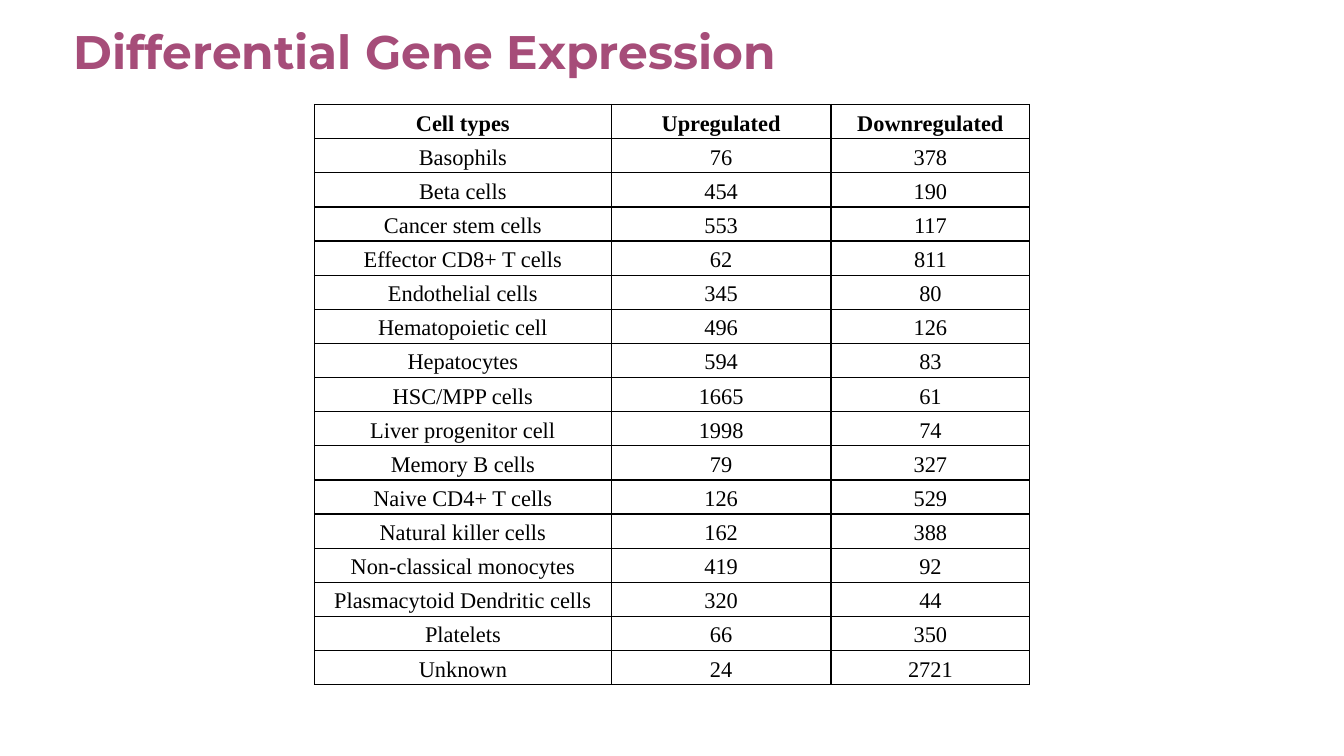
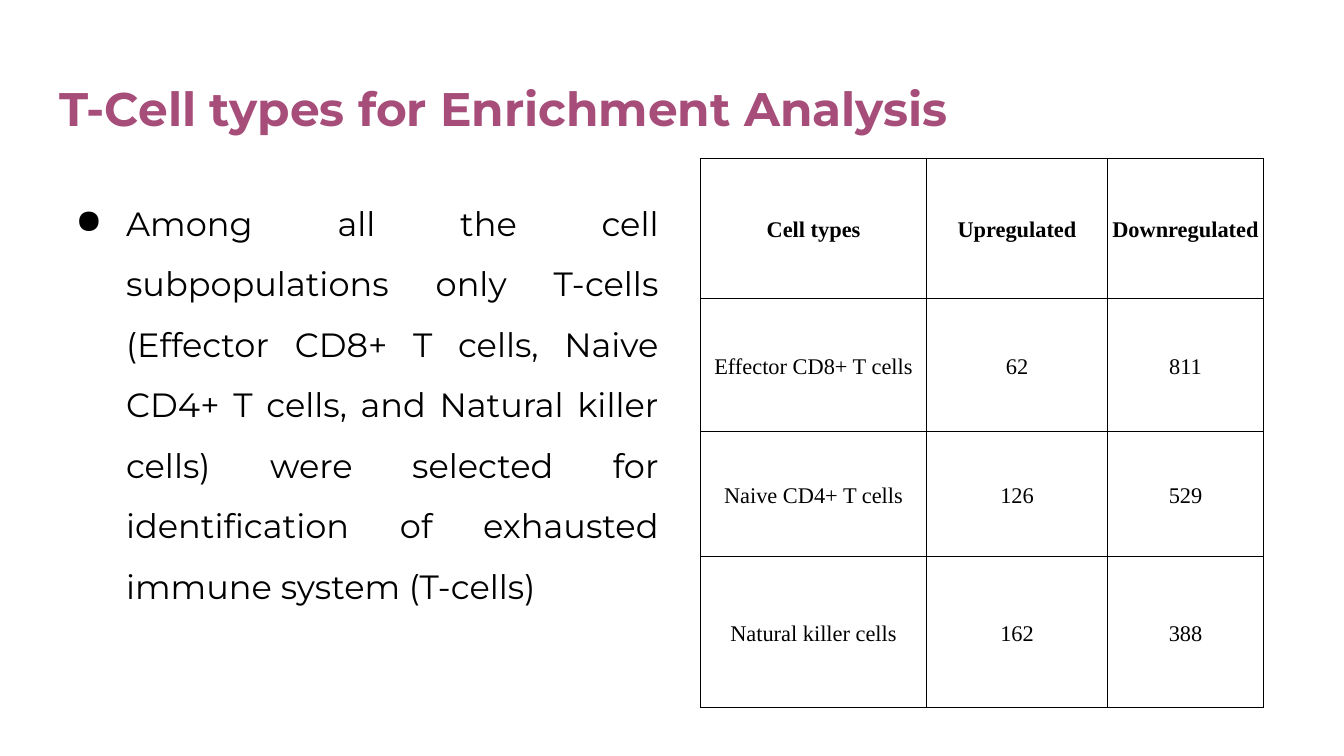
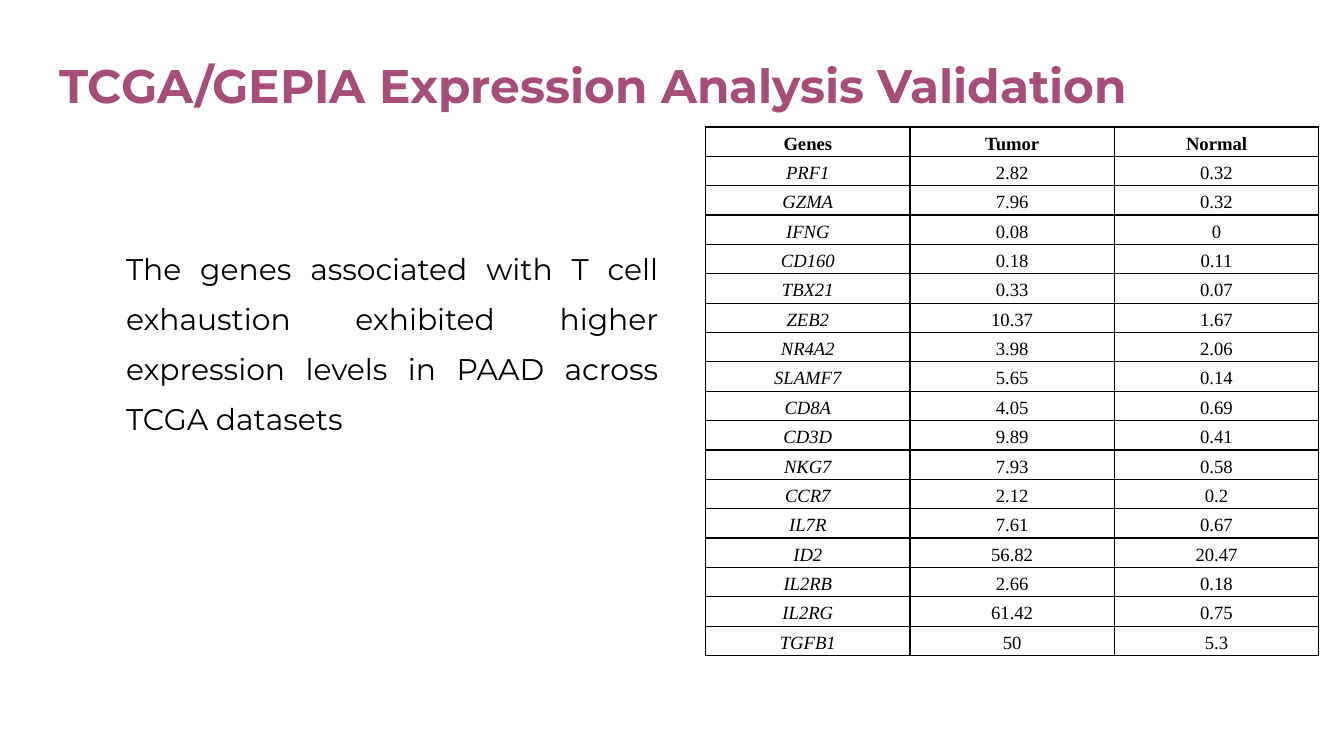
from lxml.etree import SubElement
from pptx import Presentation
from pptx.dml.color import RGBColor
from pptx.enum.text import MSO_ANCHOR, MSO_AUTO_SIZE, PP_ALIGN
from pptx.oxml.ns import qn
from pptx.util import Pt

COLOURS = {"title": "A64D79", "text": "000000", "border": "000000"}
HEADING_FONT = "Montserrat"
TABLE_FONT = "Times New Roman"
INSET = 7.2

EXPRESSION_HEADER = ("Cell types", "Upregulated", "Downregulated")
EXPRESSION_ROWS = [
    ("Basophils", "76", "378"),
    ("Beta cells", "454", "190"),
    ("Cancer stem cells", "553", "117"),
    ("Effector CD8+ T cells", "62", "811"),
    ("Endothelial cells", "345", "80"),
    ("Hematopoietic cell", "496", "126"),
    ("Hepatocytes", "594", "83"),
    ("HSC/MPP cells", "1665", "61"),
    ("Liver progenitor cell", "1998", "74"),
    ("Memory B cells", "79", "327"),
    ("Naive CD4+ T cells", "126", "529"),
    ("Natural killer cells", "162", "388"),
    ("Non-classical monocytes", "419", "92"),
    ("Plasmacytoid Dendritic cells", "320", "44"),
    ("Platelets", "66", "350"),
    ("Unknown", "24", "2721"),
]
SELECTED_CELLS = ("Effector CD8+ T cells", "Naive CD4+ T cells", "Natural killer cells")

GENE_HEADER = ("Genes", "Tumor", "Normal")
GENE_ROWS = [
    ("PRF1", "2.82", "0.32"),
    ("GZMA", "7.96", "0.32"),
    ("IFNG", "0.08", "0"),
    ("CD160", "0.18", "0.11"),
    ("TBX21", "0.33", "0.07"),
    ("ZEB2", "10.37", "1.67"),
    ("NR4A2", "3.98", "2.06"),
    ("SLAMF7", "5.65", "0.14"),
    ("CD8A", "4.05", "0.69"),
    ("CD3D", "9.89", "0.41"),
    ("NKG7", "7.93", "0.58"),
    ("CCR7", "2.12", "0.2"),
    ("IL7R", "7.61", "0.67"),
    ("ID2", "56.82", "20.47"),
    ("IL2RB", "2.66", "0.18"),
    ("IL2RG", "61.42", "0.75"),
    ("TGFB1", "50", "5.3"),
]


def format_runs(paragraph, font_name, size, colour, bold=False, italic=False):
    for run in paragraph.runs:
        run.font.name = font_name
        run.font.size = Pt(size)
        run.font.bold = bold
        run.font.italic = italic
        run.font.color.rgb = RGBColor.from_string(COLOURS[colour])


def prepare_frame(text_frame):
    text_frame.word_wrap = True
    text_frame.auto_size = MSO_AUTO_SIZE.NONE
    text_frame.vertical_anchor = MSO_ANCHOR.TOP
    text_frame.margin_left = text_frame.margin_right = Pt(INSET)
    text_frame.margin_top = text_frame.margin_bottom = Pt(INSET)


def add_titled_slide(presentation, title, left, top):
    slide = presentation.slides.add_slide(presentation.slide_layouts[5])
    shape = slide.shapes.title
    shape.left, shape.top, shape.width, shape.height = Pt(left), Pt(top), Pt(671), Pt(45)
    prepare_frame(shape.text_frame)
    shape.text_frame.text = title
    paragraph = shape.text_frame.paragraphs[0]
    paragraph.alignment = PP_ALIGN.LEFT
    format_runs(paragraph, HEADING_FONT, 25.2, "title", bold=True)
    return slide


def add_statement(slide, text, box, size, line_spacing, space_after=0, bullet=None):
    shape = slide.shapes.add_textbox(*(Pt(length) for length in box))
    prepare_frame(shape.text_frame)
    shape.text_frame.text = text
    paragraph = shape.text_frame.paragraphs[0]
    properties = paragraph._p.get_or_add_pPr()
    properties.set("marL", str(Pt(36)))
    properties.set("indent", str(Pt(-27) if bullet else 0))
    if bullet:
        bullet_colour = SubElement(properties, qn("a:buClr"))
        SubElement(bullet_colour, qn("a:srgbClr"), val=COLOURS["text"])
        SubElement(properties, qn("a:buChar"), char=bullet)
    paragraph.alignment = PP_ALIGN.JUSTIFY
    paragraph.line_spacing = line_spacing
    paragraph.space_after = Pt(space_after)
    format_runs(paragraph, HEADING_FONT, size, "text")


def add_borders(cell):
    properties = cell._tc.get_or_add_tcPr()
    for side in ("lnL", "lnR", "lnT", "lnB"):
        line = SubElement(properties, qn(f"a:{side}"), w=str(Pt(0.75)))
        fill = SubElement(line, qn("a:solidFill"))
        SubElement(fill, qn("a:srgbClr"), val=COLOURS["border"])


def fill_cell(cell, text, size, anchor, bold, italic):
    add_borders(cell)
    cell.fill.background()
    cell.vertical_anchor = anchor
    cell.margin_left = cell.margin_right = Pt(2)
    cell.margin_top = cell.margin_bottom = Pt(1.2)
    cell.text_frame.text = text
    paragraph = cell.text_frame.paragraphs[0]
    paragraph.alignment = PP_ALIGN.CENTER
    paragraph.line_spacing = 1.15
    format_runs(paragraph, TABLE_FONT, size, "text", bold, italic)


def add_data_table(slide, records, left, top, widths, heights, size=12,
                   anchor=MSO_ANCHOR.MIDDLE, italic_names=False):
    frame = slide.shapes.add_table(len(records), len(widths), Pt(left), Pt(top),
                                   Pt(sum(widths)), Pt(sum(heights)))
    table = frame.table
    table.first_row = table.horz_banding = False
    for column, width in zip(table.columns, widths):
        column.width = Pt(width)
    for row, height in zip(table.rows, heights):
        row.height = Pt(height)
    for row_index, record in enumerate(records):
        for column_index, text in enumerate(record):
            is_header = row_index == 0
            is_name = column_index == 0 and not is_header
            fill_cell(table.cell(row_index, column_index), text, size, anchor,
                      bold=is_header, italic=italic_names and is_name)


def build_expression_slide(presentation):
    slide = add_titled_slide(presentation, "Differential Gene Expression", 32, 5)
    records = [EXPRESSION_HEADER, *EXPRESSION_ROWS]
    add_data_table(slide, records, 168.5, 56, (159, 117.75, 106.5), [18.3] * len(records))


def build_selection_slide(presentation):
    slide = add_titled_slide(presentation, "T-Cell types for Enrichment Analysis", 24.5, 35.5)
    selected = [record for record in EXPRESSION_ROWS if record[0] in SELECTED_CELLS]
    add_data_table(slide, [EXPRESSION_HEADER, *selected], 375.25, 85,
                   (121.25, 96.75, 83.75), (74.75, 71.5, 67, 81))
    add_statement(
        slide,
        "Among all the cell subpopulations only T-cells (Effector CD8+ T cells, "
        "Naive CD4+ T cells, and Natural killer cells) were selected for "
        "identification of exhausted immune system (T-cells)",
        (24.5, 90.75, 335.5, 269), 18, 1.5, bullet="●")


def build_validation_slide(presentation):
    slide = add_titled_slide(presentation, "TCGA/GEPIA Expression Analysis Validation", 24.5, 23)
    add_statement(
        slide,
        "The genes associated with T cell exhaustion exhibited higher "
        "expression levels in PAAD across TCGA datasets",
        (24.5, 119.5, 335.5, 245.5), 16, 1.4, space_after=12)
    records = [GENE_HEADER, *GENE_ROWS]
    add_data_table(slide, records, 378, 68, [109.5] * 3, [15.75] * len(records), size=10,
                   anchor=MSO_ANCHOR.BOTTOM, italic_names=True)


def main():
    presentation = Presentation()
    presentation.slide_width, presentation.slide_height = Pt(720), Pt(405)
    build_expression_slide(presentation)
    build_selection_slide(presentation)
    build_validation_slide(presentation)
    presentation.save("out.pptx")


if __name__ == "__main__":
    main()
